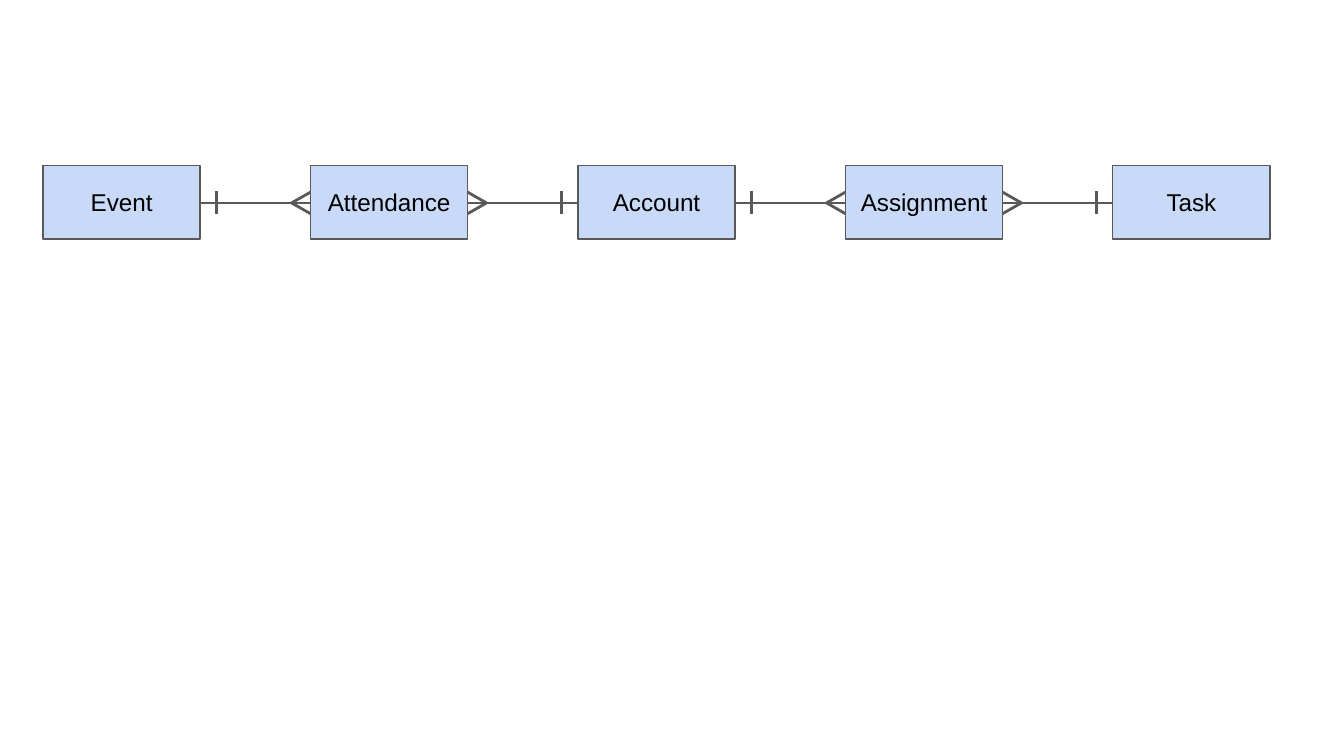
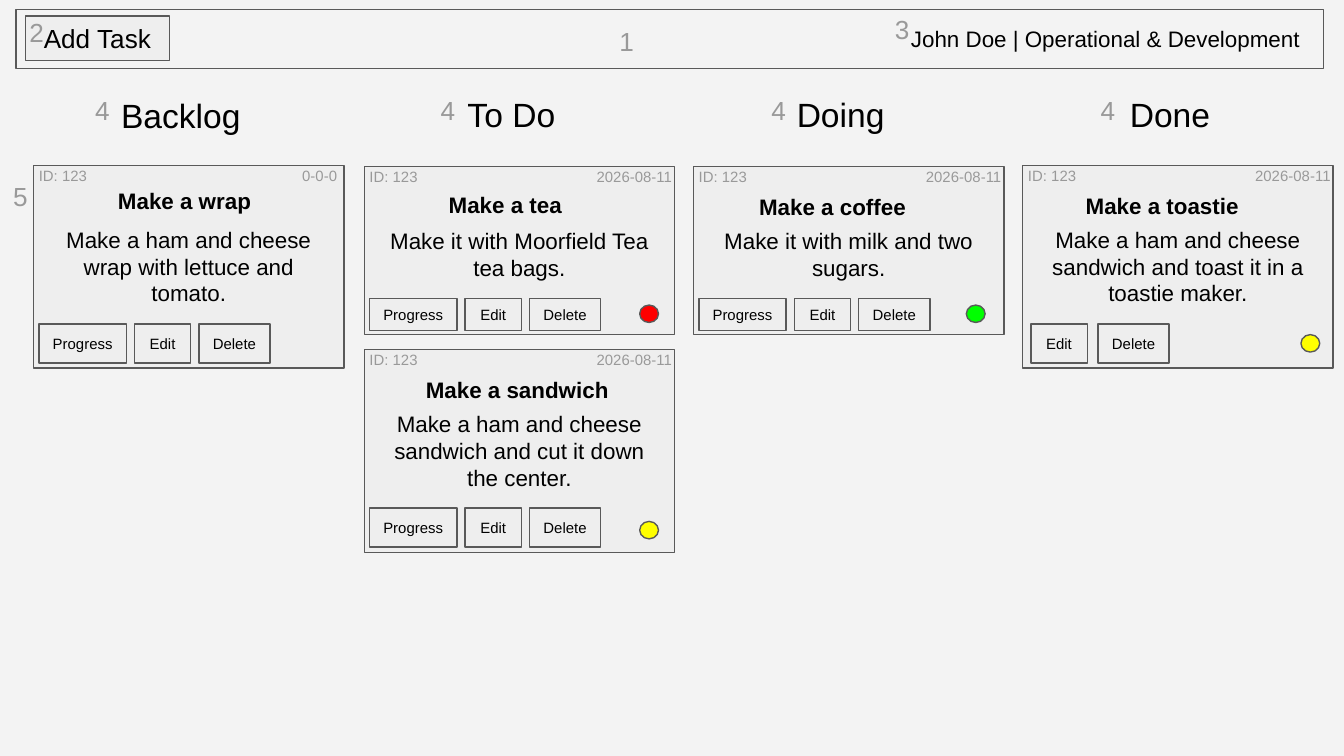
from dataclasses import dataclass

from lxml import etree
from pptx import Presentation
from pptx import util as u
from pptx.dml.color import RGBColor
from pptx.enum import shapes, text
from pptx.oxml.ns import qn

PX = 9144  # 100 px to the inch


@dataclass(frozen=True)
class Theme:
    font: str = "Arial"
    ink: str = "000000"
    mute: str = "999999"
    edge: str = "595959"
    white: str = "FFFFFF"
    blue: str = "C9DAF8"
    page: str = "F3F3F3"
    card: str = "EEEEEE"
    red: str = "FF0000"
    green: str = "00FF00"
    yellow: str = "FFFF00"
    head: int = 18
    large: int = 14
    node: int = 13
    body: int = 12
    small: int = 8
    thin: float = 0.75
    thick: float = 1.5


T = Theme()
RECT = shapes.MSO_SHAPE.RECTANGLE
OVAL = shapes.MSO_SHAPE.OVAL


def put(host, area, words="", size=T.body, color=T.ink, bold=False,
        center=False, fill=None, kind=RECT):
    """Add an outlined shape if a fill is given, else a plain text box."""
    area = [n * PX for n in area]
    if fill:
        item = host.add_shape(kind, *area)
        item.shadow.inherit = False
        item.fill.solid()
        item.fill.fore_color.rgb = RGBColor.from_string(fill)
        item.line.color.rgb = RGBColor.from_string(T.edge)
        item.line.width = u.Pt(T.thin)
    else:
        item = host.add_textbox(*area)
    if not words:
        return
    frame = item.text_frame
    frame.word_wrap = not fill
    frame.margin_left = frame.margin_right = 10 * PX
    frame.margin_top = frame.margin_bottom = 10 * PX
    frame.vertical_anchor = text.MSO_ANCHOR.MIDDLE if fill else text.MSO_ANCHOR.TOP
    para = frame.paragraphs[0]
    para.alignment = text.PP_ALIGN.CENTER if center or fill else text.PP_ALIGN.LEFT
    run = para.add_run()
    run.text = words
    run.font.name = T.font
    run.font.size = u.Pt(size)
    run.font.bold = bold
    run.font.color.rgb = RGBColor.from_string(color)


def page(color):
    """Add a blank slide with a plain background."""
    slide = deck.slides.add_slide(deck.slide_layouts[6])
    slide.background.fill.solid()
    slide.background.fill.fore_color.rgb = RGBColor.from_string(color)
    return slide.shapes


deck = Presentation()
deck.slide_width = 1000 * PX
deck.slide_height = u.Inches(5.625)

# Entity diagram
chart = page(T.white)
WIDE, STEP, LEFT, MID = 117, 199, 32, 151
names = ["Event", "Attendance", "Account", "Assignment", "Task"]
for i, name in enumerate(names):
    put(chart, (LEFT + i * STEP, 123, WIDE, 55), name, T.node, fill=T.blue)

for i in range(len(names) - 1):
    one, many = LEFT + i * STEP + WIDE, LEFT + (i + 1) * STEP
    way = 1
    if i % 2:
        one, many, way = many, one, -1
    bar, fork = one + 12 * way, many - 14 * way
    link = chart.add_group_shape().shapes
    for ends in [(one, MID, many, MID), (bar, 142, bar, 159),
                 (fork, MID, many, 159), (many, 143, fork, MID)]:
        line = link.add_connector(shapes.MSO_CONNECTOR.STRAIGHT,
                                  *[n * PX for n in ends])
        line.line.color.rgb = RGBColor.from_string(T.edge)
        line.line.width = u.Pt(T.thick)
        etree.SubElement(line._element.spPr, qn("a:effectLst"))

# Task board
board = page(T.page)
put(board, (12, 7, 973, 44), fill=T.page)
put(board, (668, 9, 423, 40), "John Doe | Operational & Development")
put(board, (19, 12, 107, 33), "Add Task", T.large, fill=T.card)

lefts = [25, 271, 516, 761]
heads = [("Backlog", 61, 61), ("To Do", 60, 318), ("Doing", 60, 564), ("Done", 60, 809)]
for left, (head, top, mark) in zip(lefts, heads):
    put(board, (left - 6, top, 231, 76), head, T.head, center=True)
    put(board, (mark, 60, 49, 53), "4", T.large, T.mute)

DAY = ("2026-08-11", 163)
FULL = [("Progress", 4, 65), ("Edit", 75, 42), ("Delete", 123, 53)]
LAST = [("Edit", 6, 42), ("Delete", 56, 53)]
# column, top, tall, title with its offset, body, date, buttons, dot
cards = [
    (0, 123, True, ("Make a wrap", 53, 6),
     "Make a ham and cheese wrap with lettuce and tomato.", ("0-0-0", 190), FULL, None),
    (2, 124, False, ("Make a coffee", 39, 10),
     "Make it with milk and two sugars.", DAY, FULL, (T.green, 203, 103)),
    (1, 260, True, ("Make a sandwich", 36, 10),
     "Make a ham and cheese sandwich and cut it down the center.", DAY, FULL,
     (T.yellow, 205, 128)),
    (1, 124, False, ("Make a tea", 53, 8),
     "Make it with Moorfield Tea tea bags.", DAY, FULL, (T.red, 205, 103)),
    (3, 123, True, ("Make a toastie", 37, 10),
     "Make a ham and cheese sandwich and toast it in a toastie maker.", DAY, LAST,
     (T.yellow, 207, 126)),
]
for col, top, tall, (title, dx, dy), body, (date, shift), keys, dot in cards:
    left = lefts[col]
    high, room, row, key = (151, 81, 118, 29) if tall else (125, 61, 98, 24)
    card = board.add_group_shape().shapes
    put(card, (left, top, 231, high), fill=T.card)
    put(card, (left - 6, top - 6, 485, 34), "ID: 123", T.small, T.mute)
    put(card, (left + shift, top - 6, 485, 34), date, T.small, T.mute)
    put(card, (left + dx, top + dy, 157, 40), title, bold=True)
    put(card, (left, top + 35, 231, room), body, center=True)
    for name, x, wide in keys:
        put(card, (left + x, top + row, wide, key), name, T.small, fill=T.card)
    if dot:
        color, x, y = dot
        put(card, (left + x, top + y, 14, 13), fill=color, kind=OVAL)

for mark, x, y in [("1", 451, 9), ("3", 656, 0), ("2", 12, 2), ("5", 0, 124)]:
    put(board, (x, y, 49, 53), mark, T.large, T.mute)

deck.save("out.pptx")
